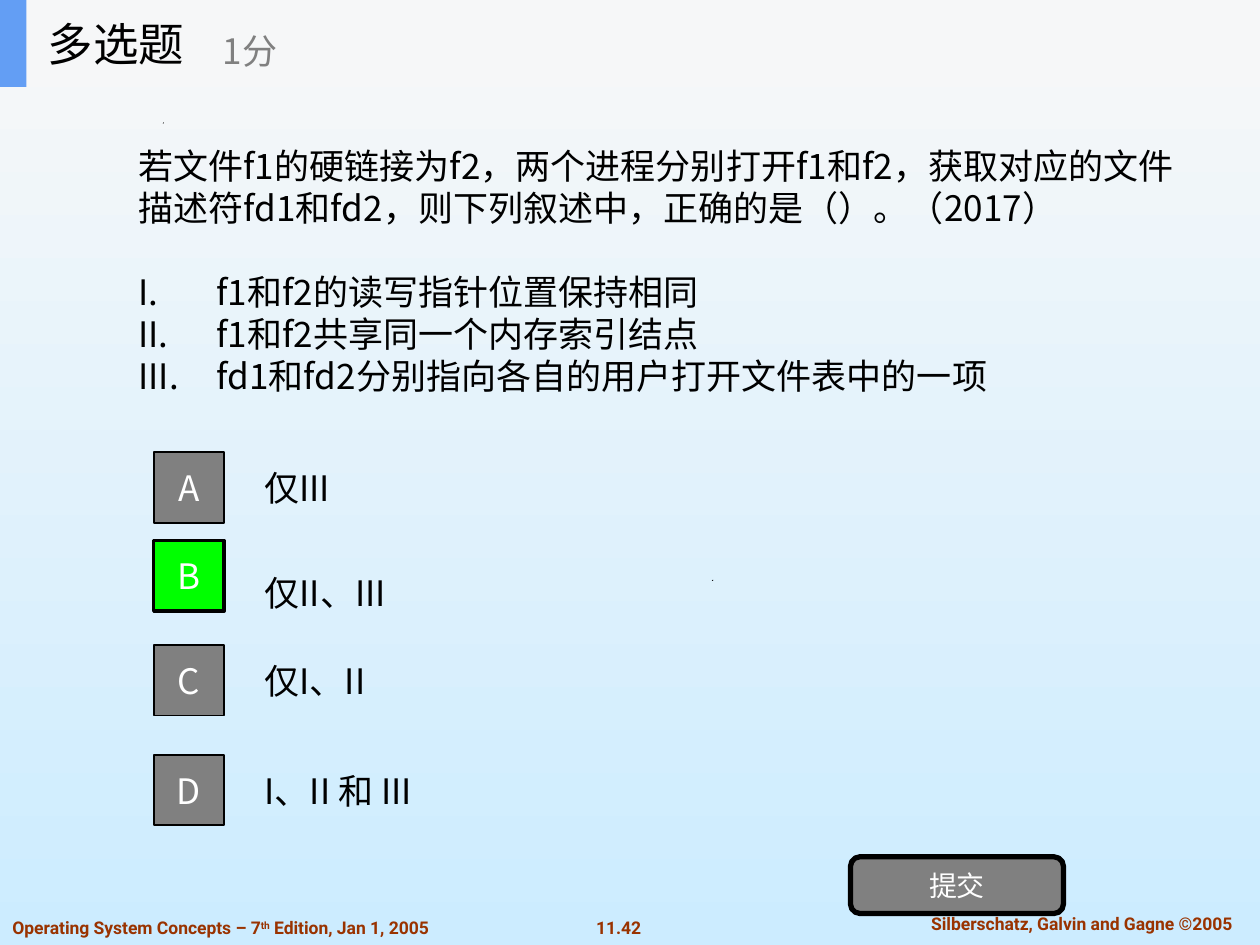
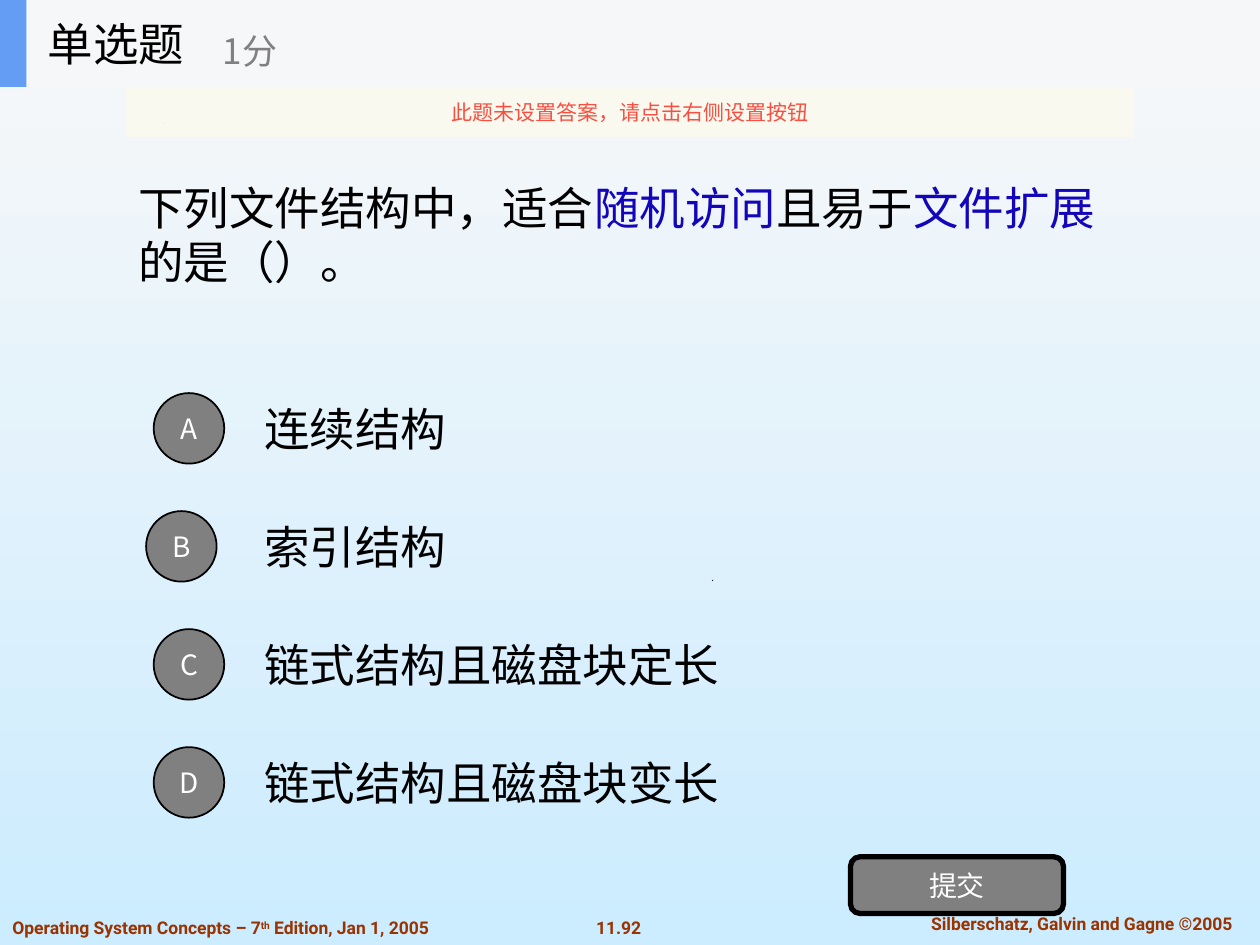
import lxml.etree
import pptx
import pptx.dml.color
import pptx.enum.shapes
import pptx.enum.text
import pptx.oxml.ns
import pptx.util

Inches = pptx.util.Inches
Pt = pptx.util.Pt
RGBColor = pptx.dml.color.RGBColor
SHAPE = pptx.enum.shapes.MSO_SHAPE
ALIGN = pptx.enum.text.PP_ALIGN
ANCHOR = pptx.enum.text.MSO_ANCHOR
qn = pptx.oxml.ns.qn

SKY_TOP = RGBColor(0xF8, 0xF8, 0xF8)
SKY_BOTTOM = RGBColor(0xCC, 0xEC, 0xFF)
BLACK = RGBColor(0, 0, 0)
WHITE = RGBColor(0xFF, 0xFF, 0xFF)
GREY = RGBColor(0x80, 0x80, 0x80)
GREEN = RGBColor(0, 0xFF, 0)
BROWN = RGBColor(0x99, 0x33, 0)
INDIGO = RGBColor(0x13, 0x06, 0xBA)
BAND = RGBColor(0xF6, 0xF7, 0xF8)
ACCENT = RGBColor(0x63, 0x9E, 0xF4)
CREAM = RGBColor(0xFB, 0xFA, 0xEF)
RED = RGBColor(0xF8, 0x4F, 0x41)

QUIZ_FONT = "Noto Sans CJK SC"
FOOTER_FONT = "Roboto"


def add_span(para, text, size, color=BLACK, font=QUIZ_FONT, bold=False, baseline=0):
    """Add one run, with the same typeface for Latin and Chinese."""
    span = para.add_run()
    span.text = text
    span.font.size = Pt(size)
    span.font.bold = bold
    span.font.color.rgb = color
    span.font.name = font
    props = span.font._element
    lxml.etree.SubElement(props, qn("a:ea")).set("typeface", font)
    if baseline:
        props.set("baseline", str(baseline * 1000))


def add_text_box(shapes, box, anchor=ANCHOR.MIDDLE):
    """Add a wrapping text box and return its frame."""
    frame = shapes.add_textbox(*map(Inches, box)).text_frame
    frame.word_wrap = True
    frame.vertical_anchor = anchor
    return frame


def add_block(shapes, kind, box, fill, line_width=0):
    """Add a flat filled shape, outlined in black if a width is given."""
    block = shapes.add_shape(kind, *map(Inches, box))
    block.shadow.inherit = False
    block.fill.solid()
    block.fill.fore_color.rgb = fill
    if line_width:
        block.line.color.rgb = BLACK
        block.line.width = Pt(line_width)
    else:
        block.line.fill.background()
    return block


def label_block(block, text, size, color=WHITE):
    """Write a centred one-line label in a shape."""
    frame = block.text_frame
    frame.word_wrap = False
    frame.vertical_anchor = ANCHOR.MIDDLE
    para = frame.paragraphs[0]
    para.alignment = ALIGN.CENTER
    add_span(para, text, size, color)


def add_speck(slide, left, top, size=0.01):
    """Add a tiny black triangle."""
    outline = slide.shapes.build_freeform(Inches(left), Inches(top + size))
    outline.add_line_segments(
        [(Inches(left + size), Inches(top)), (Inches(left + size), Inches(top + size))]
    )
    speck = outline.convert_to_shape()
    speck.shadow.inherit = False
    speck.fill.solid()
    speck.fill.fore_color.rgb = BLACK
    speck.line.fill.background()


def add_backdrop(slide):
    """Paint the vertical gradient and the specks."""
    fill = slide.background.fill
    fill.gradient()
    fill.gradient_angle = 270
    for stop, color in zip(fill.gradient_stops, (SKY_TOP, SKY_BOTTOM)):
        stop.color.rgb = color
    add_speck(slide, 1.29, 0.97)
    add_speck(slide, 5.65, 4.6)


def add_footer(slide, page_number):
    """Add the book edition, page number and copyright."""
    edition = [("Operating System Concepts – 7", 0), ("th", 30), (" Edition, Jan 1, 2005", 0)]
    footers = [
        ((0, 7.23, 3.69, 0.27), ALIGN.LEFT, edition),
        ((4.53, 7.23, 0.76, 0.27), ALIGN.CENTER, [(page_number, 0)]),
        ((7.1, 7.2, 2.97, 0.27), ALIGN.CENTER, [("Silberschatz, Galvin and Gagne ©2005", 0)]),
    ]
    for box, alignment, spans in footers:
        para = add_text_box(slide.shapes, box, ANCHOR.TOP).paragraphs[0]
        para.alignment = alignment
        for text, baseline in spans:
            add_span(para, text, 10, BROWN, FOOTER_FONT, True, baseline)


def add_header(slide, question_type):
    """Add the grouped top band with question type and score."""
    shapes = slide.shapes.add_group_shape().shapes
    add_block(shapes, SHAPE.RECTANGLE, (0, 0, 10, 0.69), BAND)
    add_block(shapes, SHAPE.RECTANGLE, (0, 0, 0.21, 0.69), ACCENT)
    title = add_text_box(shapes, (0.28, 0, 2.08, 0.69))
    add_span(title.paragraphs[0], question_type, 26)
    score = add_text_box(shapes, (1.67, 0.12, 2.5, 0.56))
    add_span(score.paragraphs[0], "1分", 20, GREY)


def add_stem(slide, box, size, pitch, spans, statements=()):
    """Add the question and its Roman-numbered statements."""
    frame = add_text_box(slide.shapes, box)
    question = frame.paragraphs[0]
    question.line_spacing = Pt(pitch)
    for text, color in spans:
        add_span(question, text, size, color)
    for index, statement in enumerate(statements):
        para = frame.add_paragraph()
        para.line_spacing = Pt(pitch)
        if index == 0:
            para.space_before = Pt(pitch)
        props = para._p.get_or_add_pPr()
        props.set("marL", str(Inches(0.62)))
        props.set("indent", str(-Inches(0.62)))
        lxml.etree.SubElement(props, qn("a:buFont")).set("typeface", QUIZ_FONT)
        lxml.etree.SubElement(props, qn("a:buAutoNum")).set("type", "romanUcPeriod")
        add_span(para, statement, size)


def add_option(slide, top, width, text, size):
    """Add the text of one answer."""
    frame = add_text_box(slide.shapes, (2, top, width, 0.7))
    add_span(frame.paragraphs[0], text, size)


def add_marker(slide, kind, left, top, letter, size, fill=GREY, line_width=1):
    """Add the lettered marker of one answer."""
    marker = add_block(slide.shapes, kind, (left, top, 0.56, 0.56), fill, line_width)
    label_block(marker, letter, size)


def add_submit_button(slide):
    """Add the rounded submit button."""
    button = add_block(slide.shapes, SHAPE.ROUNDED_RECTANGLE, (6.75, 6.8, 1.69, 0.45), GREY, 3)
    label_block(button, "提交", 16)


def add_warning(slide):
    """Add the translucent missing-answer notice."""
    notice = add_block(slide.shapes, SHAPE.RECTANGLE, (1, 0.69, 8, 0.4), CREAM)
    color = notice.fill._xPr.find(qn("a:solidFill"))[0]
    lxml.etree.SubElement(color, qn("a:alpha")).set("val", "90000")
    label_block(notice, "此题未设置答案，请点击右侧设置按钮", 12, RED)


def start_quiz_slide(deck, question_type, page_number):
    """Add a blank slide with everything the quiz slides share."""
    slide = deck.slides.add_slide(deck.slide_layouts[6])
    add_backdrop(slide)
    add_footer(slide, page_number)
    add_header(slide, question_type)
    add_submit_button(slide)
    return slide


def add_multiple_choice(deck):
    """Build the hard link question with square markers."""
    slide = start_quiz_slide(deck, "多选题", "11.42")
    question = (
        "若文件f1的硬链接为f2，两个进程分别打开f1和f2，获取对应的"
        "文件描述符fd1和fd2，则下列叙述中，正确的是（）。（2017）"
    )
    statements = [
        "f1和f2的读写指针位置保持相同",
        "f1和f2共享同一个内存索引结点",
        "fd1和fd2分别指向各自的用户打开文件表中的一项",
    ]
    add_stem(slide, (1, 0.98, 8.51, 2.34), 20, 24, [(question, BLACK)], statements)
    options = [
        ("A", "仅III", 3.52, 3.59, GREY, 1),
        ("B", "仅II、III", 4.35, 4.29, GREEN, 2),
        ("C", "仅I、II", 5.05, 5.12, GREY, 1),
        ("D", "I、II 和 III", 5.92, 5.99, GREY, 1),
    ]
    for letter, text, text_top, marker_top, fill, line_width in options:
        add_option(slide, text_top, 3.39, text, 20)
        add_marker(slide, SHAPE.RECTANGLE, 1.22, marker_top, letter, 20, fill, line_width)


def add_single_choice(deck):
    """Build the file structure question with round markers."""
    slide = start_quiz_slide(deck, "单选题", "11.92")
    spans = [
        ("下列文件结构中，适合", BLACK),
        ("随机访问", INDIGO),
        ("且易于", BLACK),
        ("文件扩展", INDIGO),
        ("的是（）。", BLACK),
    ]
    add_stem(slide, (1, 0.69, 8, 2.34), 26, 31, spans)
    options = ["连续结构", "索引结构", "链式结构且磁盘块定长", "链式结构且磁盘块变长"]
    first_top, last_top = 3.05, 5.86
    for index, (letter, text) in enumerate(zip("ABCD", options)):
        top = first_top + index * (last_top - first_top) / (len(options) - 1)
        left = 1.16 if letter == "B" else 1.22
        add_option(slide, top, 7, text, 26)
        add_marker(slide, SHAPE.OVAL, left, top + 0.07, letter, 16)
    add_warning(slide)


def main():
    """Build and save the deck."""
    deck = pptx.Presentation()
    deck.slide_width = Inches(10)
    deck.slide_height = Inches(7.5)
    add_multiple_choice(deck)
    add_single_choice(deck)
    deck.save("out.pptx")


if __name__ == "__main__":
    main()
